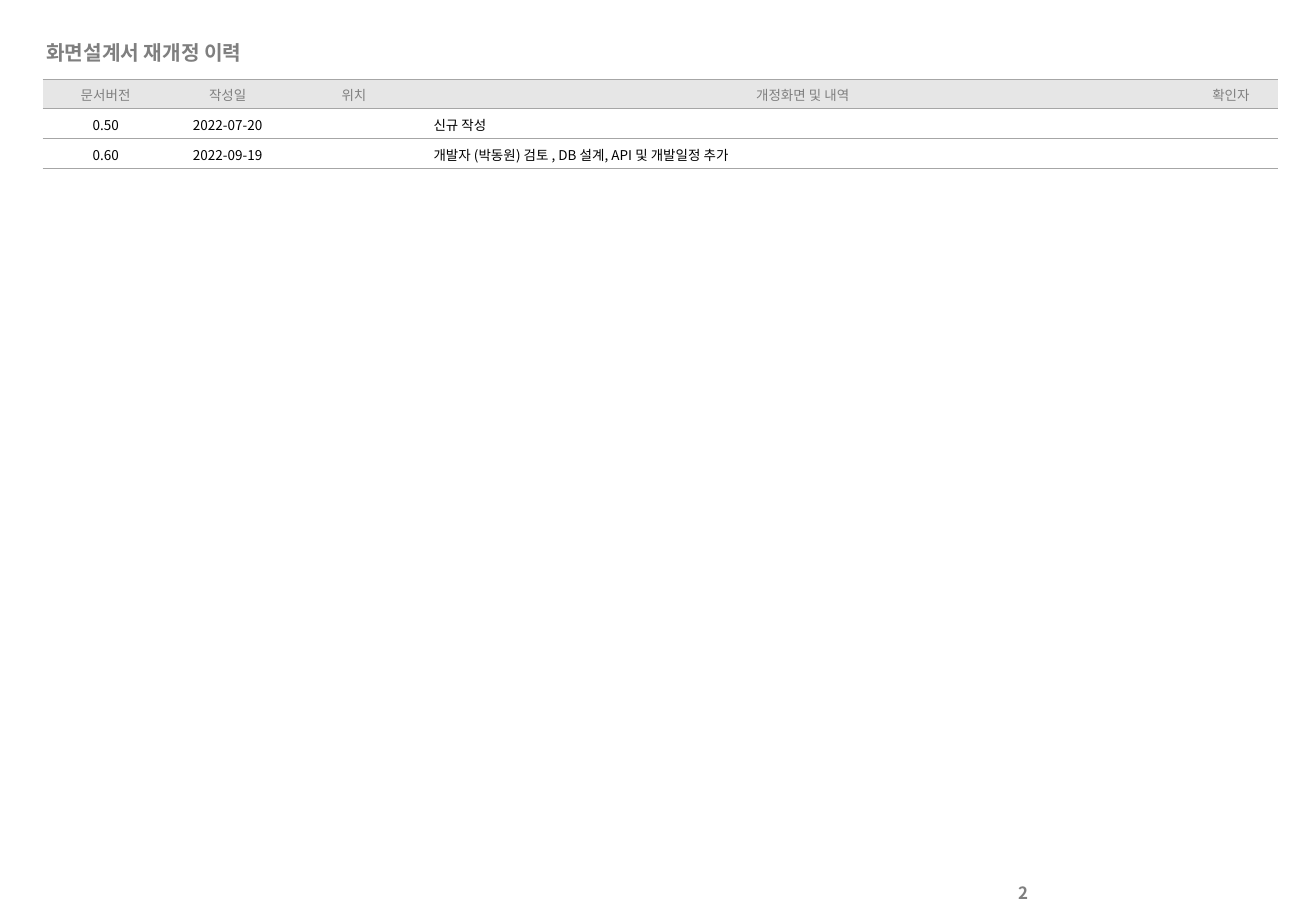
from lxml import etree
from pptx import Presentation
from pptx.dml.color import RGBColor
from pptx.enum.text import MSO_ANCHOR, MSO_AUTO_SIZE, PP_ALIGN
from pptx.oxml.ns import qn
from pptx.util import Pt

LEFT, CENTER, RIGHT = PP_ALIGN.LEFT, PP_ALIGN.CENTER, PP_ALIGN.RIGHT
MIDDLE = MSO_ANCHOR.MIDDLE
NO_AUTOFIT = MSO_AUTO_SIZE.NONE

FONT = "Noto Sans CJK KR"
GRAY = RGBColor(0x7F, 0x7F, 0x7F)
BLACK = RGBColor(0, 0, 0)
HEADER_FILL = RGBColor(0xE6, 0xE6, 0xE6)
RULE = RGBColor(0xA6, 0xA6, 0xA6)

HISTORY = [
    ("문서버전", "작성일", "위치", "개정화면 및 내역", "확인자"),
    ("0.50", "2022-07-20", "", "신규 작성", ""),
    ("0.60", "2022-09-19", "", "개발자 (박동원) 검토 , DB 설계, API 및 개발일정 추가", ""),
]
COLUMN_WIDTHS = (74.9, 69.8, 79.9, 452.2, 55.4)
ROW_HEIGHTS = (17, 18, 18)
DETAILS_COLUMN = 3
FLUSH_COLUMNS = (0, 1)


def add_text(paragraph, text, size, color, bold=False):
    run = paragraph.add_run()
    run.text = text
    run.font.size = Pt(size)
    run.font.name = FONT
    run.font.bold = bold
    run.font.color.rgb = color
    east_asian = etree.SubElement(run.font._element, qn("a:ea"))
    east_asian.set("typeface", FONT)


def add_title(slide, left, top, width, height):
    title = slide.shapes.title
    title.left, title.top = Pt(left), Pt(top)
    title.width, title.height = Pt(width), Pt(height)
    frame = title.text_frame
    frame.auto_size = NO_AUTOFIT
    frame.vertical_anchor = MIDDLE
    frame.paragraphs[0].alignment = LEFT
    add_text(frame.paragraphs[0], "화면설계서 재개정 이력", 12, GRAY, bold=True)


def set_borders(cell):
    properties = cell._tc.get_or_add_tcPr()
    for position, side in enumerate(("lnL", "lnR", "lnT", "lnB")):
        border = etree.Element(qn(f"a:{side}"))
        if side in ("lnT", "lnB"):
            border.set("w", str(Pt(0.5)))
            fill = etree.SubElement(border, qn("a:solidFill"))
            etree.SubElement(fill, qn("a:srgbClr")).set("val", str(RULE))
        else:
            etree.SubElement(border, qn("a:noFill"))
        properties.insert(position, border)


def fill_cell(cell, text, is_header, column):
    cell.vertical_anchor = MIDDLE
    cell.margin_left = cell.margin_right = Pt(0 if column in FLUSH_COLUMNS else 7.2)
    cell.margin_top = cell.margin_bottom = Pt(2.16)
    if is_header:
        cell.fill.solid()
        cell.fill.fore_color.rgb = HEADER_FILL
    else:
        cell.fill.background()
    set_borders(cell)
    paragraph = cell.text_frame.paragraphs[0]
    paragraph.line_spacing = 1.1
    paragraph.alignment = LEFT if column == DETAILS_COLUMN and not is_header else CENTER
    if text:
        add_text(paragraph, text, 8, GRAY if is_header else BLACK)
    else:
        etree.SubElement(paragraph._p, qn("a:endParaRPr")).set("sz", "800")


def add_history(slide, left, top):
    history = slide.shapes.add_table(
        len(HISTORY), len(COLUMN_WIDTHS), Pt(left), Pt(top),
        Pt(sum(COLUMN_WIDTHS)), Pt(sum(ROW_HEIGHTS))).table
    history.first_row = False
    history.horz_banding = False
    for column, width in zip(history.columns, COLUMN_WIDTHS):
        column.width = Pt(width)
    for row, height in zip(history.rows, ROW_HEIGHTS):
        row.height = Pt(height)
    for row_index, entries in enumerate(HISTORY):
        for column_index, text in enumerate(entries):
            fill_cell(history.cell(row_index, column_index), text,
                      row_index == 0, column_index)


def add_page_number(slide, left, top, width, height):
    page_number = slide.shapes.add_textbox(Pt(left), Pt(top), Pt(width), Pt(height))
    frame = page_number.text_frame
    frame.word_wrap = True
    frame.paragraphs[0].alignment = RIGHT
    add_text(frame.paragraphs[0], "2", 10, GRAY, bold=True)


def main():
    presentation = Presentation()
    presentation.slide_width, presentation.slide_height = Pt(780), Pt(540)
    slide = presentation.slides.add_slide(presentation.slide_layouts[5])
    add_title(slide, 20.2, 18.7, 181.4, 25.2)
    add_history(slide, 25.2, 46.8)
    add_page_number(slide, 569.5, 519.8, 46.8, 19.4)
    presentation.save("out.pptx")


if __name__ == "__main__":
    main()
